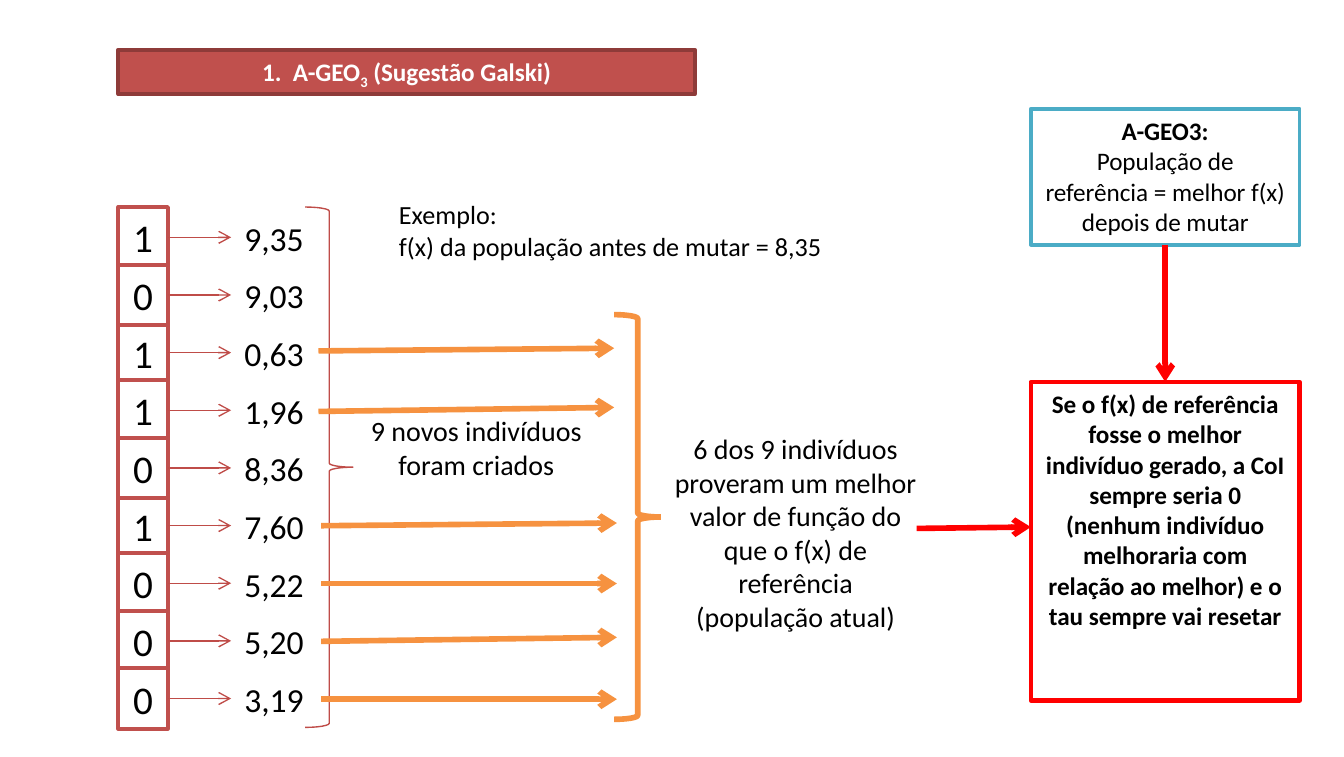
"""Build the A-GEO3 slide: bits, their f(x) values and the resulting rule."""
from pptx import Presentation
from pptx.dml.color import RGBColor as RGB
from pptx.enum.shapes import MSO_CONNECTOR as Conn, MSO_SHAPE as Shape
from pptx.enum.text import MSO_ANCHOR as Anchor, PP_ALIGN as Align
from pptx.oxml.ns import qn
from pptx.util import Inches, Pt
from lxml.etree import SubElement

HUES = {
    "white": "FFFFFF", "black": "000000", "brick": "C0504D", "rust": "BF4C48",
    "wine": "8E3B39", "teal": "4BACC6", "orange": "F69240", "red": "FF0000",
}


def add_box(spot, lines=(), size=15, edge=None, width=2, fill="white",
            ink="black", bold=(), align=Align.CENTER, kind=Shape.RECTANGLE):
    box = slide.shapes.add_shape(kind, *map(Inches, spot))
    box.shadow.inherit = False
    if fill:
        box.fill.solid()
        box.fill.fore_color.rgb = RGB.from_string(HUES[fill])
    else:
        box.fill.background()
    if edge:
        box.line.color.rgb = RGB.from_string(HUES[edge])
        box.line.width = Pt(width)
    else:
        box.line.fill.background()
    frame = box.text_frame
    frame.word_wrap = True
    frame.vertical_anchor = Anchor.TOP
    for i, text in enumerate(lines):
        para = frame.paragraphs[0] if i == 0 else frame.add_paragraph()
        for part in [text] if isinstance(text, str) else text:
            para.add_run().text = part
        para.alignment = align
        font = para.font
        font.name, font.size, font.bold = "Calibri", Pt(size), i in bold
        font.color.rgb = RGB.from_string(HUES[ink])
    return box


def add_arrow(start, end, hue, width):
    arrow = slide.shapes.add_connector(Conn.STRAIGHT, *map(Inches, start + end))
    arrow.line.color.rgb = RGB.from_string(HUES[hue])
    arrow.line.width = Pt(width)
    SubElement(arrow.line._get_or_add_ln(), qn("a:tailEnd"), type="arrow")
    SubElement(arrow._element.spPr, qn("a:effectLst"))
    return arrow


deck = Presentation()
deck.slide_width, deck.slide_height = Inches(10), Inches(5.63)
slide = deck.slides.add_slide(deck.slide_layouts[6])

bits = "101101000"
values = ["9,35", "9,03", "0,63", "1,96", "8,36", "7,60", "5,22", "5,20", "3,19"]
top, step = 1.54, 3.43 / 8

for row in sorted(range(9), key=lambda r: bits[r], reverse=True):
    y = top + row * step
    cell = add_box((0.88, y, 0.37, 0.45), [bits[row]], 21, "brick")
    value = add_box((1.72, y + 0.03, 0.76, 0.39), [values[row]], 18,
                    align=Align.LEFT)
    link = add_arrow((1.25, y + 0.22), (1.72, y + 0.22), "rust", 0.75)
    link.begin_connect(cell, 3)
    link.end_connect(value, 1)

add_box((2.87, 1.43, 4.72, 0.57),
        ["Exemplo:", "f(x) da população antes de mutar = 8,35"], 14,
        align=Align.LEFT)
add_box((2.27, top, 0.36, 3.87), edge="rust", width=0.75, fill=None,
        kind=Shape.RIGHT_BRACE)
add_box((2.63, 3.03, 1.83, 0.86), ["9 novos indivíduos", "foram criados"])
goal = add_box((7.67, 0.81, 2, 1.01),
               ["A-GEO3:", "População de referência = melhor f(x) depois de mutar"],
               13.5, "teal", bold=(0,))

for x, y, rise in [(2.37, 2.61, 0.02), (2.37, 3.06, 0.03), (2.39, 3.91, 0.02),
                   (2.39, 4.34, 0), (2.39, 4.77, 0.03), (2.39, 5.2, 0)]:
    add_arrow((x, y), (x + 2.2, y - rise), "orange", 3)

add_box((4.57, 2.34, 0.35, 3.01), edge="orange", width=3, fill=None,
        kind=Shape.RIGHT_BRACE)
add_box((4.92, 3.16, 2, 1.61),
        ["6 dos 9 indivíduos proveram um melhor valor de função do que o f(x) "
         "de referência (população atual)"])
add_arrow((6.82, 3.93), (7.67, 3.92), "red", 3)
drop = add_arrow((8.67, 1.82), (8.67, 2.84), "red", 3)
rule = add_box((7.67, 2.84, 2, 2.37),
               ["Se o f(x) de referência fosse o melhor indivíduo gerado, a CoI "
                "sempre seria 0 (nenhum indivíduo melhoraria com relação ao "
                "melhor) e o tau sempre vai resetar"],
               13.5, "red", 2.25, bold=(0,))
drop.begin_connect(goal, 2)
drop.end_connect(rule, 0)

title = add_box((0.88, 0.37, 4.29, 0.33),
                [("1.  A-GEO", "3", " (Sugestão Galski)")], 13.5, "wine",
                fill="brick", ink="white", bold=(0,))
sub = title.text_frame.paragraphs[0].runs[1]
sub._r.get_or_add_rPr().set("baseline", "-25000")

deck.save("out.pptx")
